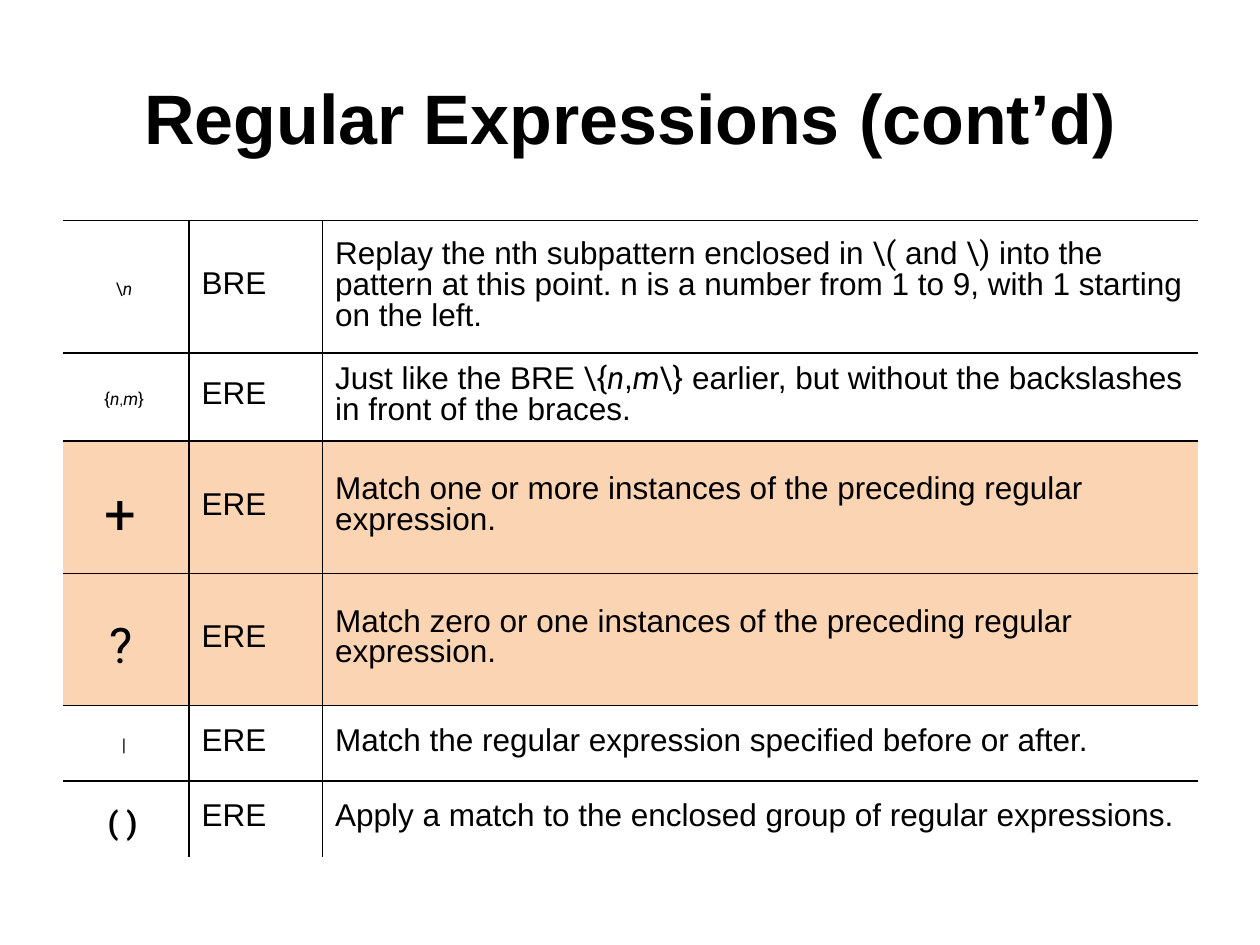
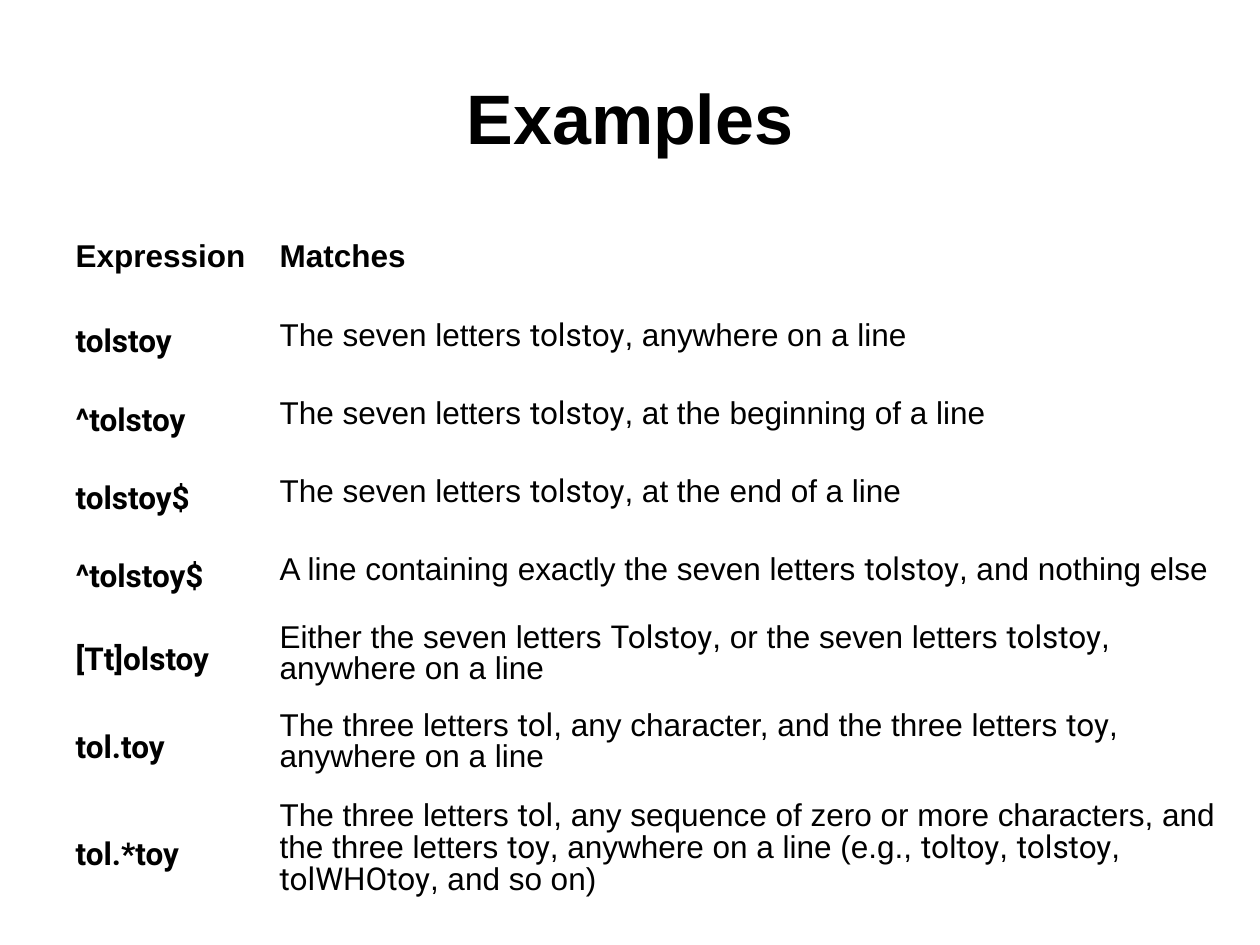
from pptx import Presentation
from pptx.dml.color import RGBColor
from pptx.enum.text import MSO_ANCHOR, PP_ALIGN
from pptx.oxml.ns import qn
from pptx.util import Inches, Pt
from lxml.etree import SubElement

BLACK = RGBColor(0x00, 0x00, 0x00)
PEACH = RGBColor(0xFB, 0xD4, 0xB4)
PLAIN, CODE = "Arial", "Roboto"

# Text between backticks is code; text between tildes is italic.
PROSE = dict(top=0.03, space=0.87, align=PP_ALIGN.LEFT, size=18, small=18, bold=False)
HEAD = {**PROSE, "bold": True}
TERM = {**HEAD, "top": 0.05, "space": 1.25}
SIGN = {**TERM, "align": PP_ALIGN.CENTER, "bold": False}

# Sign, its look, its standard, its meaning, row height, row fill
SYNTAX = [
    ("`\\~n~` ", dict(size=10, small=8), "BRE",
     "Replay the nth subpattern enclosed in `\\(` and `\\)` into the pattern "
     "at this point. n is a number from 1 to 9, with 1 starting on the left.",
     1.05, None),
    ("`{~n~`,`~m~}` ", dict(size=10, small=8), "ERE",
     "Just like the BRE `\\{~n~`,`~m~\\}` earlier, but without the backslashes "
     "in front of the braces.", 0.7, None),
    ("`+` ", dict(size=32, small=24), "ERE",
     "Match one or more instances of the preceding regular expression.", 1.05, PEACH),
    ("`?` ", dict(size=28, small=20), "ERE",
     "Match zero or one instances of the preceding regular expression.", 1.05, PEACH),
    ("`|` ", dict(size=10, small=8), "ERE",
     "Match the regular expression specified before or after.", 0.6, None),
    ("`( )` ", dict(size=18, small=14, bold=True), "ERE",
     "Apply a match to the enclosed group of regular expressions.", 0.6, None),
]

# Expression, what it matches, row height
SAMPLES = [
    ("tolstoy", "The seven letters `tolstoy`, anywhere on a line", 0.62),
    ("^tolstoy", "The seven letters `tolstoy`, at the beginning of a line", 0.62),
    ("tolstoy$", "The seven letters `tolstoy`, at the end of a line", 0.62),
    ("^tolstoy$", "A line containing exactly the seven letters `tolstoy`, "
     "and nothing else", 0.62),
    ("[Tt]olstoy", "Either the seven letters `Tolstoy`, or the seven letters "
     "`tolstoy`, anywhere on a line", 0.7),
    ("tol.toy", "The three letters `tol`, any character, and the three letters "
     "`toy`, anywhere on a line", 0.7),
    ("tol.*toy", "The three letters `tol`, any sequence of zero or more characters, "
     "and the three letters `toy`, anywhere on a line (e.g., `toltoy`, `tolstoy`, "
     "`tolWHOtoy`, and so on)", 1),
]


def assign(item, values):
    for name, value in values.items():
        setattr(item, name, value)


def add_run(para, text, size, **form):
    run = para.add_run()
    run.text = text
    assign(run.font, {"size": Pt(size), **form})
    run.font.color.rgb = BLACK


def fill_cell(cell, text, look):
    """Write marked-up text into a cell in the given look."""
    assign(cell, dict(vertical_anchor=MSO_ANCHOR.MIDDLE,
                      margin_left=Inches(0.1), margin_right=Inches(0.1),
                      margin_top=Inches(look["top"]), margin_bottom=Inches(0.05)))
    para = cell.text_frame.paragraphs[0]
    assign(para, dict(alignment=look["align"], line_spacing=look["space"]))
    for i, chunk in enumerate(text.split("`")):
        name, size = (CODE, look["size"]) if i % 2 else (PLAIN, look["small"])
        for j, part in enumerate(chunk.split("~")):
            if part:
                add_run(para, part, size, name=name, bold=look["bold"],
                        italic=j % 2 == 1)


def rule_cell(cell, sides):
    """Draw thin black lines on the given sides and none on the others."""
    props = cell._tc.get_or_add_tcPr()
    for side in "LRTB":
        line = SubElement(props, qn(f"a:ln{side}"), w=str(Pt(1)))
        if side in sides:
            paint = SubElement(line, qn("a:solidFill"))
            SubElement(paint, qn("a:srgbClr"), val=str(BLACK))
        else:
            SubElement(line, qn("a:noFill"))


def shade_cell(cell, color):
    if color is None:
        cell.fill.background()
    else:
        cell.fill.solid()
        cell.fill.fore_color.rgb = color


def add_page(deck, title):
    slide = deck.slides.add_slide(deck.slide_layouts[5])
    box = slide.shapes.title
    assign(box, dict(left=Inches(0.5), top=Inches(0.3),
                     width=Inches(9), height=Inches(1.25)))
    box.text_frame.vertical_anchor = MSO_ANCHOR.MIDDLE
    para = box.text_frame.paragraphs[0]
    para.alignment = PP_ALIGN.CENTER
    add_run(para, title, 40, name=PLAIN, bold=True)
    return slide


def add_grid(slide, widths, heights):
    frame = slide.shapes.add_table(
        len(heights), len(widths), Inches(0.5), Inches(1.75),
        Inches(sum(widths)), Inches(sum(heights)))
    grid = frame.table
    assign(grid, dict(first_row=False, horz_banding=False))
    for col, width in zip(grid.columns, widths):
        col.width = Inches(width)
    for row, height in zip(grid.rows, heights):
        row.height = Inches(height)
    return grid


def add_syntax(deck):
    slide = add_page(deck, "Regular Expressions (cont’d)")
    grid = add_grid(slide, [1, 1.06, 6.95], [row[4] for row in SYNTAX])
    last = len(SYNTAX) - 1
    for r, (sign, look, norm, text, _, color) in enumerate(SYNTAX):
        cells = [(sign, {**SIGN, **look}), (norm, PROSE), (text, PROSE)]
        for c, (words, form) in enumerate(cells):
            cell = grid.cell(r, c)
            fill_cell(cell, words, form)
            rule_cell(cell, ("TR", "TLR", "TL")[c] + ("B" if r < last else ""))
            shade_cell(cell, color)


def add_samples(deck):
    slide = add_page(deck, "Examples")
    rows = [(("Expression", HEAD), ("Matches", HEAD))]
    rows += [((f"`{term}`", TERM), (text, PROSE)) for term, text, _ in SAMPLES]
    grid = add_grid(slide, [1.62, 7.67], [0.62] + [row[2] for row in SAMPLES])
    for r, row in enumerate(rows):
        for c, (words, form) in enumerate(row):
            cell = grid.cell(r, c)
            fill_cell(cell, words, form)
            rule_cell(cell, "")
            shade_cell(cell, None)


def main():
    deck = Presentation()
    assign(deck, dict(slide_width=Inches(10), slide_height=Inches(7.5)))
    add_syntax(deck)
    add_samples(deck)
    deck.save("out.pptx")


if __name__ == "__main__":
    main()
